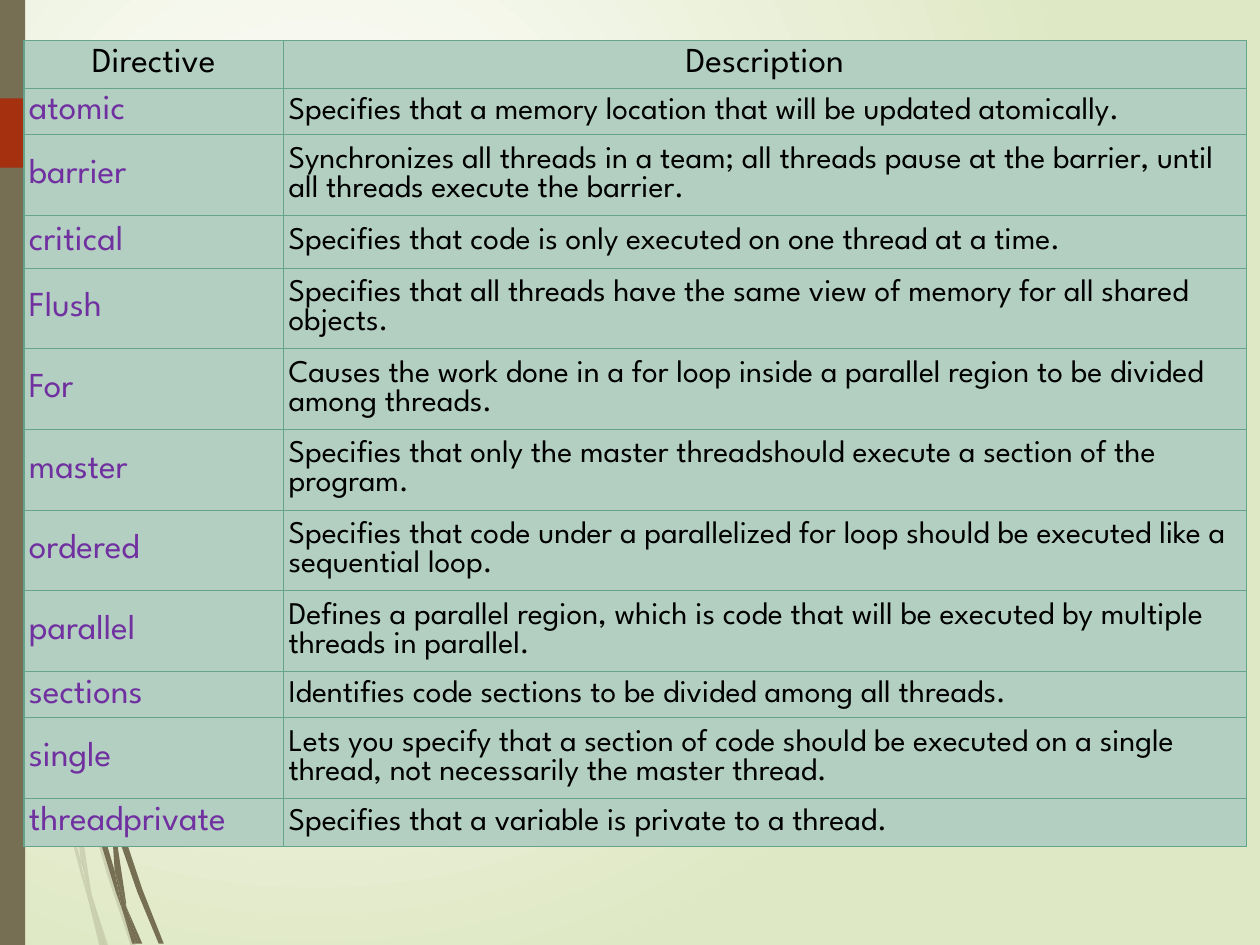
from lxml.etree import SubElement
from pptx import Presentation
from pptx.dml.color import RGBColor
from pptx.enum.shapes import MSO_SHAPE
from pptx.enum.text import MSO_ANCHOR, PP_ALIGN
from pptx.oxml.ns import qn
from pptx.util import Inches, Pt

THEME = {
    "font": "League Spartan",
    "label_size": 20,
    "body_size": 18,
    "text": "000000",
    "directive": "7030A0",
    "cell": "B3CFC2",
    "border": "65A48B",
    "bar": "766F54",
    "tab": "A53010",
    "glow": "FFFFFF",
    "background": "DFE8C4",
}
EDGE, SINGLE, MEDIUM, DOUBLE = 0.38, 0.37, 0.42, 0.64
ROWS = [
    ("Directive", "Description", EDGE),
    ("atomic", "Specifies that a memory location that will be updated atomically.", SINGLE),
    ("barrier", "Synchronizes all threads in a team; all threads pause at the barrier, "
                "until all threads execute the barrier.", DOUBLE),
    ("critical", "Specifies that code is only executed on one thread at a time.", MEDIUM),
    ("Flush", "Specifies that all threads have the same view of memory for all shared objects.", DOUBLE),
    ("For", "Causes the work done in a for loop inside a parallel region to be divided "
            "among threads.", DOUBLE),
    ("master", "Specifies that only the master threadshould execute a section of the program.", DOUBLE),
    ("ordered", "Specifies that code under a parallelized for loop should be executed like a "
                "sequential loop.", DOUBLE),
    ("parallel", "Defines a parallel region, which is code that will be executed by multiple "
                 "threads in parallel.", DOUBLE),
    ("sections", "Identifies code sections to be divided among all threads.", SINGLE),
    ("single", "Lets you specify that a section of code should be executed on a single thread, "
               "not necessarily the master thread.", DOUBLE),
    ("threadprivate", "Specifies that a variable is private to a thread.", EDGE),
]
COLUMNS = (2.06, 7.64)

# Grass blades along the left edge: outline points in hundredths of an inch.
PALE_BLADES = [
    [(8, 350), (6, 322), (0, 282), (0, 299), (7, 344)],
    [(40, 522), (59, 599), (59, 586), (43, 520), (10, 345), (12, 376)],
    [(64, 607), (61, 596), (61, 610), (85, 694), (104, 751), (108, 751), (88, 692)],
    [(83, 751), (86, 751), (73, 711)],
    [(64, 683), (48, 619), (22, 469), (12, 376), (8, 350), (19, 470), (45, 621), (64, 693),
     (70, 714), (69, 707)],
    [(58, 599), (60, 646), (64, 683), (67, 692), (73, 711), (72, 706), (63, 646), (61, 610), (61, 608)],
    [(61, 584), (76, 462), (111, 349), (159, 245), (187, 198), (201, 175), (217, 154), (217, 153),
     (201, 175), (186, 197), (158, 244), (110, 348), (75, 461), (59, 584), (59, 586), (61, 596)],
    [(70, 714), (79, 751), (82, 751)],
    [(61, 608), (61, 610), (61, 596), (59, 586), (58, 599)],
    [(67, 692), (65, 683), (69, 707), (70, 714), (82, 751), (83, 751), (73, 711)],
]
DARK_BLADES = [
    [(5, 110), (14, 233), (27, 355), (46, 477), (47, 481), (45, 457), (45, 453), (30, 355),
     (15, 232), (6, 109), (4, 48), (3, 0), (2, 0), (3, 48)],
    [(73, 592), (88, 645), (88, 633), (88, 631), (77, 590), (50, 472), (53, 505)],
    [(94, 649), (91, 641), (91, 656), (109, 708), (126, 749), (130, 749), (113, 706)],
    [(91, 691), (81, 657), (60, 556), (53, 505), (47, 477), (56, 557), (77, 659), (92, 708),
     (97, 722), (96, 717)],
    [(50, 472), (48, 453), (44, 349), (48, 245), (52, 193), (58, 141), (51, 193), (47, 245),
     (43, 349), (45, 449), (49, 472)],
    [(110, 749), (113, 749), (100, 719)],
    [(47, 477), (53, 505), (50, 472), (49, 472), (45, 449), (45, 453)],
    [(91, 633), (103, 552), (131, 476), (169, 406), (191, 374), (203, 359), (216, 344), (215, 344),
     (203, 358), (191, 373), (168, 405), (129, 474), (101, 551), (88, 631), (91, 641)],
    [(97, 722), (105, 749), (108, 749)],
    [(88, 645), (91, 691), (96, 706), (100, 719), (100, 716), (91, 656), (90, 651)],
    [(88, 645), (90, 651), (91, 656), (91, 641), (88, 631), (88, 633)],
    [(96, 706), (91, 691), (96, 717), (97, 722), (108, 749), (110, 749), (100, 719)],
]


def paint(shape, color):
    shape.shadow.inherit = False
    shape.fill.solid()
    shape.fill.fore_color.rgb = RGBColor.from_string(THEME[color])
    shape.line.fill.background()


presentation = Presentation()
presentation.slide_width, presentation.slide_height = Inches(10), Inches(7.5)
slide = presentation.slides.add_slide(presentation.slide_layouts[6])

# Background: a round glow up and to the left
background = slide.background.fill
background.gradient()
for stop, color in zip(background.gradient_stops, ("glow", "background")):
    stop.color.rgb = RGBColor.from_string(THEME[color])
gradient = next(slide.element.iter(qn("a:gradFill")))
gradient.remove(gradient.find(qn("a:lin")))
circle = SubElement(gradient, qn("a:path"), path="circle")
SubElement(circle, qn("a:fillToRect"), l="50000", t="50000", r="100000", b="100000")

# Grass blades
for blades, opacity in ((PALE_BLADES, 20), (DARK_BLADES, 100)):
    for outline in blades:
        builder = slide.shapes.build_freeform(*outline[0], scale=Inches(0.01))
        builder.add_line_segments(outline[1:], close=True)
        blade = builder.convert_to_shape()
        paint(blade, "bar")
        if opacity < 100:
            color_element = next(blade.element.spPr.iter(qn("a:srgbClr")))
            SubElement(color_element, qn("a:alpha"), val=str(opacity * 1000))

# Side bar and its tab
side_bar = slide.shapes.add_shape(MSO_SHAPE.RECTANGLE, 0, 0, Inches(0.2), presentation.slide_height)
paint(side_bar, "bar")
tab = slide.shapes.add_shape(MSO_SHAPE.PENTAGON, 0, Inches(0.78), Inches(1.49), Inches(0.55))
paint(tab, "tab")

# Directive table
height = sum(row[2] for row in ROWS)
table = slide.shapes.add_table(len(ROWS), len(COLUMNS), Inches(0.19), Inches(0.32),
                               Inches(sum(COLUMNS)), Inches(height)).table
table.first_row = table.horz_banding = False
for column, width in zip(table.columns, COLUMNS):
    column.width = Inches(width)

for row_index, (directive, description, row_height) in enumerate(ROWS):
    table.rows[row_index].height = Inches(row_height)
    is_header = row_index == 0
    for column_index, text in enumerate((directive, description)):
        is_label = column_index == 0
        cell = table.cell(row_index, column_index)
        cell.vertical_anchor = MSO_ANCHOR.MIDDLE
        cell.margin_left = cell.margin_right = Inches(0.04)
        cell.margin_top = cell.margin_bottom = Inches(0.02)
        for side in ("lnL", "lnR", "lnT", "lnB"):
            border = SubElement(cell._tc.get_or_add_tcPr(), qn(f"a:{side}"), w=str(Pt(0.75)))
            SubElement(SubElement(border, qn("a:solidFill")), qn("a:srgbClr"), val=THEME["border"])
        cell.fill.solid()
        cell.fill.fore_color.rgb = RGBColor.from_string(THEME["cell"])
        paragraph = cell.text_frame.paragraphs[0]
        paragraph.alignment = PP_ALIGN.CENTER if is_header else PP_ALIGN.LEFT
        run = paragraph.add_run()
        run.text = text
        run.font.name = THEME["font"]
        run.font.size = Pt(THEME["label_size" if is_header or is_label else "body_size"])
        run.font.color.rgb = RGBColor.from_string(
            THEME["directive" if is_label and not is_header else "text"])

presentation.save("out.pptx")
